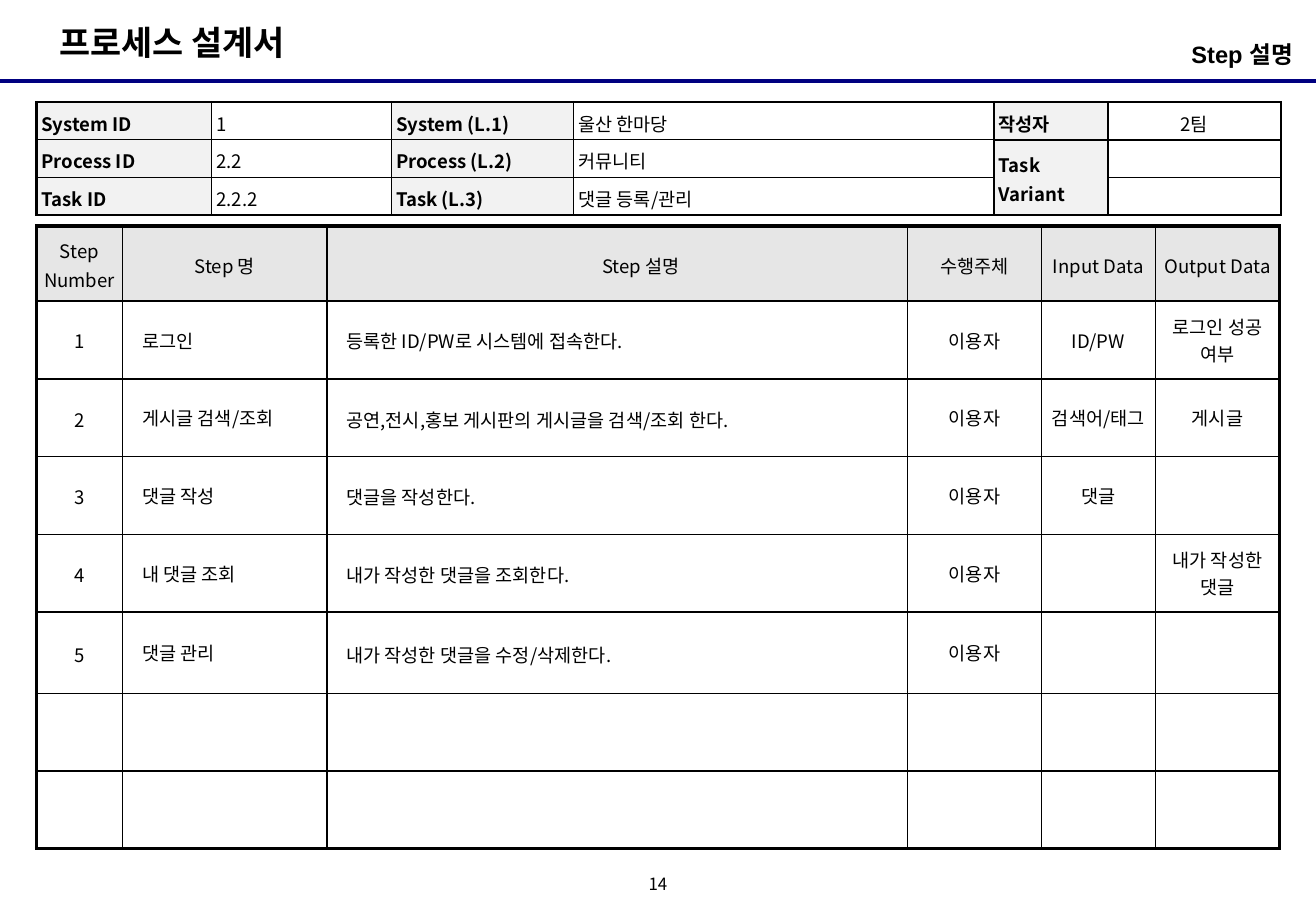
"""Build the process design sheet that describes the steps of a task."""
from lxml.etree import SubElement
from pptx import Presentation
from pptx.dml.color import RGBColor
from pptx.enum.shapes import MSO_CONNECTOR
from pptx.enum.text import MSO_ANCHOR, PP_ALIGN
from pptx.oxml.ns import qn
from pptx.util import Inches, Pt

BLACK = RGBColor(0x00, 0x00, 0x00)
WHITE = RGBColor(0xFF, 0xFF, 0xFF)
NAVY = RGBColor(0x00, 0x00, 0x80)
LABEL_GRAY = RGBColor(0xF2, 0xF2, 0xF2)
HEAD_GRAY = RGBColor(0xE6, 0xE6, 0xE6)
KOREAN = "Noto Sans CJK KR"

INFO_COLS = [1.44, 1.48, 1.5, 3.46, 0.94, 1.42]
INFO = [
    ["System ID", "1", "System (L.1)", "울산 한마당", "작성자", "2팀"],
    ["Process ID", "2.2", "Process (L.2)", "커뮤니티", "Task Variant", ""],
    ["Task ID", "2.2.2", "Task (L.3)", "댓글 등록/관리", "", ""],
]
STEP_COLS = [0.71, 1.68, 4.78, 1.1, 0.94, 1.02]
STEP_ROWS = [0.62, 0.64, 0.64, 0.64, 0.64, 0.67, 0.64, 0.64]
STEPS = [
    ["Step Number", "Step 명", "Step 설명", "수행주체", "Input Data", "Output Data"],
    ["1", "로그인", "등록한 ID/PW로 시스템에 접속한다.", "이용자", "ID/PW", "로그인 성공 여부"],
    ["2", "게시글 검색/조회", "공연,전시,홍보 게시판의 게시글을 검색/조회 한다.", "이용자", "검색어/태그", "게시글"],
    ["3", "댓글 작성", "댓글을 작성한다.", "이용자", "댓글", ""],
    ["4", "내 댓글 조회", "내가 작성한 댓글을 조회한다.", "이용자", "", "내가 작성한 댓글"],
    ["5", "댓글 관리", "내가 작성한 댓글을 수정/삭제한다.", "이용자", "", ""],
    [""] * 6,
    [""] * 6,
]


def write(tf, text, size, bold=False, align=PP_ALIGN.LEFT, latin=KOREAN, indent=0, spacing=None):
    """Write one formatted paragraph into a text frame."""
    p = tf.paragraphs[0]
    p.alignment = align
    p.line_spacing = spacing
    if indent:
        pPr = p._p.get_or_add_pPr()
        pPr.set("marL", str(Inches(indent)))
        pPr.set("indent", "0")
    if not text:
        SubElement(p._p, qn("a:endParaRPr")).set("sz", str(size * 100))
        return
    p.add_run().text = text
    font = p.font
    font.size, font.bold, font.name = Pt(size), bold, latin
    font.color.rgb = BLACK
    SubElement(p._p.pPr.find(qn("a:defRPr")), qn("a:ea")).set("typeface", KOREAN)


def add_text(s, box, text, size, margins, wrap=False, anchor=MSO_ANCHOR.TOP, **style):
    """Add a text box with the given left, top, right and bottom margins."""
    tf = s.shapes.add_textbox(*map(Inches, box)).text_frame
    tf.word_wrap = wrap
    tf.vertical_anchor = anchor
    tf.margin_left, tf.margin_top, tf.margin_right, tf.margin_bottom = map(Inches, margins)
    write(tf, text, size, **style)


def add_rule(s, y, width):
    """Add the navy rule across the slide."""
    line = s.shapes.add_connector(MSO_CONNECTOR.STRAIGHT, 0, Inches(y), width, Inches(y))
    line.line.color.rgb = NAVY
    line.line.width = Pt(2.25)
    SubElement(line._element.spPr, qn("a:effectLst"))


def set_borders(cell, **widths):
    """Draw the black borders of a cell, with widths in points by side."""
    tcPr = cell._tc.get_or_add_tcPr()
    for side in "LRTB":
        ln = SubElement(tcPr, qn(f"a:ln{side}"), w=str(Pt(widths[side])))
        fill = SubElement(ln, qn("a:solidFill"))
        SubElement(fill, qn("a:srgbClr"), val=str(BLACK))


def add_grid(s, top, cols, rows):
    """Add a plain table with the given column widths and row heights."""
    frame = s.shapes.add_table(len(rows), len(cols), Inches(0.3), Inches(top),
                               Inches(sum(cols)), Inches(sum(rows)))
    table = frame.table
    table.first_row = table.horz_banding = False
    for column, width in zip(table.columns, cols):
        column.width = Inches(width)
    for row, height in zip(table.rows, rows):
        row.height = Inches(height)
    return table


def format_cell(table, r, c, outer, margin, color, author_rule=False):
    """Set the borders, side margins and fill of a cell by its place."""
    cell = table.cell(r, c)
    last_row, last_col = len(table.rows) - 1, len(table.columns) - 1
    bottom = r + cell.span_height - 1 if cell.is_merge_origin else r
    set_borders(cell,
                L=outer if c == 0 else 1,
                R=outer if c == last_col else 1,
                T=outer if r == 0 or (author_rule and r == 1) else 1,
                B=outer if bottom == last_row or (author_rule and r == 0) else 1)
    cell.margin_left = cell.margin_right = Inches(margin)
    cell.margin_top = cell.margin_bottom = Inches(0.04)
    cell.fill.solid()
    cell.fill.fore_color.rgb = color
    return cell


def add_info_table(s):
    """Add the table that identifies the system, process and task."""
    table = add_grid(s, 0.84, INFO_COLS, [0.31] * len(INFO))
    table.cell(1, 4).merge(table.cell(2, 4))
    for r, row in enumerate(INFO):
        for c, text in enumerate(row):
            label, author = c % 2 == 0, c >= 4
            cell = format_cell(table, r, c, 1.5, 0.04, LABEL_GRAY if label else WHITE, author)
            cell.vertical_anchor = MSO_ANCHOR.MIDDLE if author else MSO_ANCHOR.TOP
            write(cell.text_frame, text, 11, bold=label, spacing=1.1,
                  align=PP_ALIGN.CENTER if c == 5 else PP_ALIGN.LEFT)


def add_step_table(s):
    """Add the table that lists the steps."""
    table = add_grid(s, 1.86, STEP_COLS, STEP_ROWS)
    for r, row in enumerate(STEPS):
        for c, text in enumerate(row):
            head, prose = r == 0, c in (1, 2)
            cell = format_cell(table, r, c, 2.25, 0.06, HEAD_GRAY if head else WHITE)
            cell.vertical_anchor = MSO_ANCHOR.MIDDLE
            if head:
                indent = 0.39 if c == 2 else 0
            else:
                indent = 0.1 if prose else 0
            loose = head or (r > 1 and c in (0, 2))
            write(cell.text_frame, text, 11, indent=indent, spacing=1.1 if loose else None,
                  align=PP_ALIGN.LEFT if prose and not head else PP_ALIGN.CENTER)


def main():
    """Build and save the slide."""
    prs = Presentation()
    prs.slide_width, prs.slide_height = Inches(10.83), Inches(7.5)
    s = prs.slides.add_slide(prs.slide_layouts[6])
    add_rule(s, 0.67, prs.slide_width)
    add_text(s, (0.39, 0.13, 2.26, 0.44), "프로세스 설계서", 20, (0.1, 0.05, 0.1, 0.05), bold=True)
    add_text(s, (5.25, 7.17, 0.33, 0.25), "14", 10, (0, 0, 0, 0), anchor=MSO_ANCHOR.MIDDLE,
             align=PP_ALIGN.CENTER, spacing=0.8)
    add_info_table(s)
    add_step_table(s)
    add_text(s, (7.39, 0.28, 3.31, 0.39), "Step 설명", 14, (0, 0.05, 0.06, 0.05), wrap=True,
             bold=True, align=PP_ALIGN.RIGHT, latin="Arial")
    prs.save("out.pptx")


if __name__ == "__main__":
    main()
